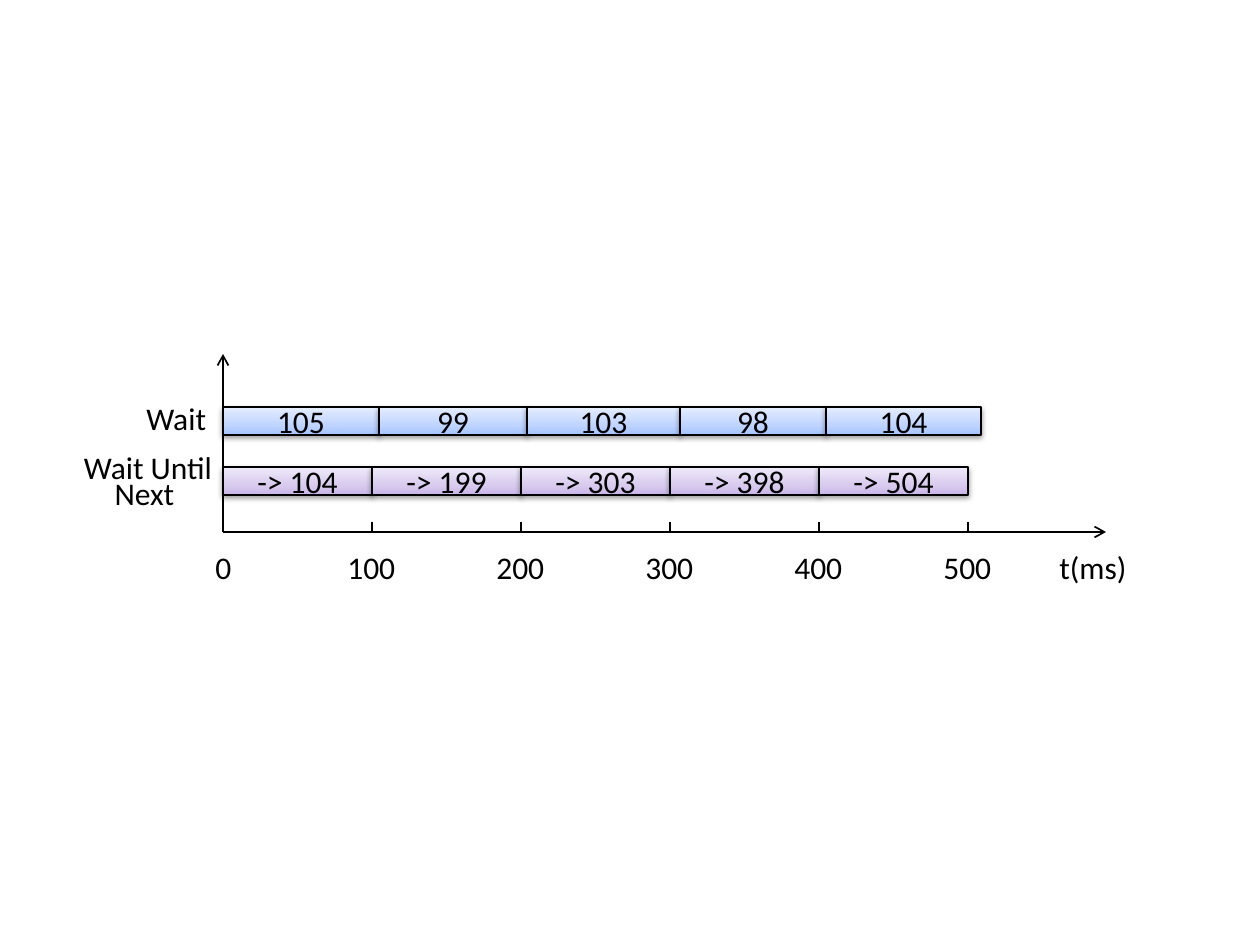
"""Build a timeline slide comparing Wait with Wait Until Next."""
import copy

import pptx
import pptx.dml.color
import pptx.enum.shapes
import pptx.enum.text
import pptx.oxml
import pptx.oxml.ns
import pptx.util

PX = 914400 / 126
THEME = {
    "font": "Calibri",
    "size": 18,
    "ink": "000000",
    "axis_width": 1,
    "bar_width": 0.75,
    "wait": ("A4C4FF", "BFD4FF", "E6EEFF"),
    "until": ("C9B5E8", "D8CBEE", "F0EAF9"),
}
STOPS = (0, 0.35, 1)
SHADOW = (
    f'<a:outerShdw {pptx.oxml.ns.nsdecls("a")} blurRad="40000" dist="20000" dir="5400000"'
    ' rotWithShape="0"><a:srgbClr val="000000"><a:alpha val="38000"/></a:srgbClr></a:outerShdw>'
)
ARROW = f'<a:tailEnd {pptx.oxml.ns.nsdecls("a")} type="arrow"/>'
INK = pptx.dml.color.RGBColor.from_string(THEME["ink"])
ALIGN = pptx.enum.text.PP_ALIGN

ORIGIN_X, AXIS_Y, STEP = 223, 532, 149
BAR_H, LABEL_Y, LABEL_H = 28, 542, 50

prs = pptx.Presentation()
prs.slide_width = pptx.util.Inches(10)
prs.slide_height = pptx.util.Inches(7.5)
s = prs.slides.add_slide(prs.slide_layouts[6])


def emu(*px):
    return [round(v * PX) for v in px]


def write(sp, text, align=ALIGN.LEFT, wrap=True, spacing=None, anchor=None):
    tf = sp.text_frame
    tf.word_wrap = wrap
    if anchor is not None:
        tf.vertical_anchor = anchor
    p = tf.paragraphs[0]
    p.alignment = align
    p.line_spacing = spacing
    r = p.add_run()
    r.text = text
    r.font.name = THEME["font"]
    r.font.size = pptx.util.Pt(THEME["size"])
    r.font.color.rgb = INK


axes = [
    (ORIGIN_X, AXIS_Y, 1106, AXIS_Y, True),
    (ORIGIN_X, AXIS_Y, ORIGIN_X, 354, True),
]
ticks = [(ORIGIN_X + i * STEP, AXIS_Y, ORIGIN_X + i * STEP, AXIS_Y - 10, False) for i in range(1, 6)]
for x1, y1, x2, y2, arrow in axes + ticks:
    line = s.shapes.add_connector(pptx.enum.shapes.MSO_CONNECTOR.STRAIGHT, *emu(x1, y1, x2, y2))
    line.line.color.rgb = INK
    line.line.width = pptx.util.Pt(THEME["axis_width"])
    pptx.oxml.ns.qn("a:effectLst")
    line._element.spPr.append(pptx.oxml.parse_xml(f'<a:effectLst {pptx.oxml.ns.nsdecls("a")}/>'))
    if arrow:
        line.line._get_or_add_ln().append(pptx.oxml.parse_xml(ARROW))

rows = [
    ("wait", 407, [(str(ms), ms) for ms in (105, 99, 103, 98, 104)]),
    ("until", 467, [(f"-> {ms}", 100) for ms in (104, 199, 303, 398, 504)]),
]
for name, y, bars in rows:
    start = 0
    for text, duration in bars:
        x = round(ORIGIN_X + start * STEP / 100)
        start += duration
        w = round(ORIGIN_X + start * STEP / 100) - x
        sp = s.shapes.add_shape(pptx.enum.shapes.MSO_SHAPE.RECTANGLE, *emu(x, y, w, BAR_H))
        sp.fill.gradient()
        sp.fill.gradient_angle = 90
        gs = sp._element.spPr.find(".//" + pptx.oxml.ns.qn("a:gs"))
        gs.addnext(copy.deepcopy(gs))
        for stop, position, color in zip(sp.fill.gradient_stops, STOPS, THEME[name]):
            stop.position = position
            stop.color.rgb = pptx.dml.color.RGBColor.from_string(color)
        sp.line.color.rgb = INK
        sp.line.width = pptx.util.Pt(THEME["bar_width"])
        sp.shadow.inherit = False
        effects = sp._element.spPr.find(pptx.oxml.ns.qn("a:effectLst"))
        effects.append(pptx.oxml.parse_xml(SHADOW))
        write(sp, text, align=ALIGN.CENTER, anchor=pptx.enum.text.MSO_ANCHOR.MIDDLE)

labels = [("Wait", 134, 393, 86), ("t(ms)", 1047, LABEL_Y, 93)]
for i in range(6):
    w = 74 if i else 41
    labels.append((str(i * 100), ORIGIN_X + i * STEP - w // 2, LABEL_Y, w))
for text, x, y, w in labels:
    write(s.shapes.add_textbox(*emu(x, y, w, LABEL_H)), text, wrap=False)
write(s.shapes.add_textbox(*emu(63, 452, 170, 67)), "Wait Until Next ", align=ALIGN.CENTER, spacing=0.7)

prs.save("out.pptx")
